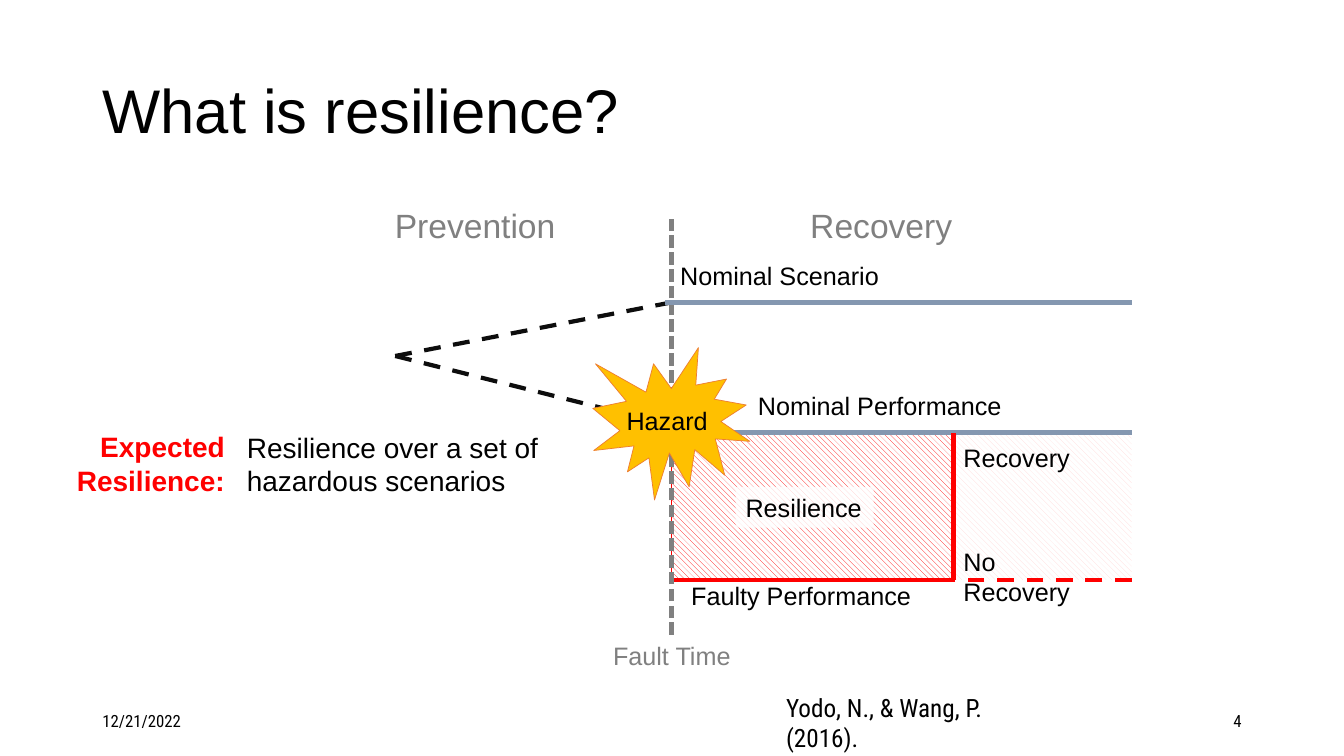
from dataclasses import dataclass

from lxml import etree
from pptx import Presentation
from pptx.dml.color import RGBColor
from pptx.enum.dml import MSO_LINE, MSO_PATTERN
from pptx.enum.shapes import MSO_CONNECTOR, MSO_SHAPE
from pptx.enum.text import MSO_ANCHOR, PP_ALIGN
from pptx.oxml.ns import qn
from pptx.util import Cm, Pt

STRAIGHT = MSO_CONNECTOR.STRAIGHT
RECTANGLE, BURST = MSO_SHAPE.RECTANGLE, MSO_SHAPE.EXPLOSION1
DASH, SHORT_DASH = MSO_LINE.DASH, MSO_LINE.SQUARE_DOT
HATCH = MSO_PATTERN.WIDE_DOWNWARD_DIAGONAL
TOP, MIDDLE = MSO_ANCHOR.TOP, MSO_ANCHOR.MIDDLE
LEFT, RIGHT = PP_ALIGN.LEFT, PP_ALIGN.RIGHT


@dataclass(frozen=True)
class Theme:
    font: str = "Arial"
    note_font: str = "Roboto Condensed"
    ink: str = "000000"
    scenario_ink: str = "0D0D0D"
    muted: str = "808080"
    paper: str = "FFFFFF"
    alert: str = "FF0000"
    alert_pale: str = "FFD9D9"
    nominal: str = "8497B0"
    frame: str = "4472C4"
    hazard: str = "FFC000"
    hazard_edge: str = "ED7D31"
    title_size: int = 44
    phase_size: int = 24
    lead_size: int = 20
    label_size: int = 18
    footer_size: int = 12
    heavy: float = 3
    thin: float = 1
    hairline: float = 0.5
    veil_alpha: int = 80000


class SlideBuilder:
    def __init__(self, slide, theme):
        self.slide = slide
        self.theme = theme

    def fill_text(self, frame, lines, align=LEFT, anchor=TOP, **font):
        look = {"name": self.theme.font, "size": self.theme.label_size,
                "color": self.theme.ink, "bold": False} | font
        color = RGBColor.from_string(look.pop("color"))
        look["size"] = Pt(look["size"])
        frame.word_wrap = True
        frame.vertical_anchor = anchor
        for index, line in enumerate(lines):
            paragraph = frame.add_paragraph() if index else frame.paragraphs[0]
            paragraph.alignment = align
            run = paragraph.add_run()
            run.text = line
            for attribute, value in look.items():
                setattr(run.font, attribute, value)
            run.font.color.rgb = color

    def title(self, text, box):
        heading = self.slide.shapes.title
        for side, value in zip(("left", "top", "width", "height"), box):
            setattr(heading, side, Cm(value))
        self.fill_text(heading.text_frame, [text], anchor=MIDDLE,
                       size=self.theme.title_size)
        heading.text_frame.paragraphs[0].line_spacing = 0.9

    def label(self, box, *lines, **look):
        area = self.slide.shapes.add_textbox(*map(Cm, box))
        self.fill_text(area.text_frame, lines, **look)

    def shape(self, kind, box, edge=None):
        item = self.slide.shapes.add_shape(kind, *map(Cm, box))
        item.shadow.inherit = False
        if edge:
            item.line.color.rgb = RGBColor.from_string(edge)
            item.line.width = Pt(self.theme.hairline)
        else:
            item.line.fill.background()
        return item

    def solid(self, kind, box, color, edge=None):
        item = self.shape(kind, box, edge)
        item.fill.solid()
        item.fill.fore_color.rgb = RGBColor.from_string(color)
        return item

    def hatched(self, box, color, edge=None):
        fill = self.shape(RECTANGLE, box, edge).fill
        fill.patterned()
        fill.pattern = HATCH
        fill.fore_color.rgb = RGBColor.from_string(color)
        fill.back_color.rgb = RGBColor.from_string(self.theme.paper)

    def veiled_label(self, box, *lines, **look):
        panel = self.solid(RECTANGLE, box, self.theme.paper)
        color = next(panel._element.spPr.iter(qn("a:srgbClr")))
        etree.SubElement(color, qn("a:alpha"), val=str(self.theme.veil_alpha))
        self.fill_text(panel.text_frame, lines, **look)

    def line(self, start, end, color, width=None, dash=None):
        stroke = self.slide.shapes.add_connector(STRAIGHT, *map(Cm, start + end))
        stroke.line.color.rgb = RGBColor.from_string(color)
        stroke.line.width = Pt(width or self.theme.heavy)
        if dash:
            stroke.line.dash_style = dash
        etree.SubElement(stroke._element.spPr, qn("a:effectLst"))


def main():
    deck = Presentation()
    deck.slide_width, deck.slide_height = Cm(33.87), Cm(19.05)
    theme = Theme()
    page = SlideBuilder(deck.slides.add_slide(deck.slide_layouts[5]), theme)

    fault_x, recovered_x, end_x = 16.92, 24.03, 28.52
    scenario_y, nominal_y, faulty_y = 7.62, 10.9, 14.61
    start_x, start_y = 9.96, 8.97
    loss = faulty_y - nominal_y
    row = 1.03

    page.title("What is resilience?", (2.33, 1.02, 29.21, 3.68))

    page.line((start_x, start_y), (fault_x, 10.72), theme.scenario_ink, dash=DASH)
    page.hatched((recovered_x, nominal_y, end_x - recovered_x, loss), theme.alert_pale)
    page.hatched((fault_x, nominal_y, recovered_x - fault_x, loss),
                 theme.alert, theme.frame)
    page.line((15.95, nominal_y), (end_x, nominal_y), theme.nominal)
    page.line((fault_x, nominal_y), (fault_x, faulty_y), theme.alert, theme.thin)
    page.line((fault_x, faulty_y), (recovered_x, faulty_y), theme.alert)
    page.line((recovered_x, faulty_y), (recovered_x, nominal_y), theme.alert)
    page.line((fault_x, 16), (fault_x, 5.46), theme.muted, dash=SHORT_DASH)
    page.label((15.2, 16, 3.7, row), "Fault Time", color=theme.muted)
    page.solid(BURST, (14.94, 8.76, 3.96, 3.84), theme.hazard, theme.hazard_edge)

    page.label((18.85, 9.7, 8.18, row), "Nominal Performance")
    page.label((17.17, 14.5, 6.3, row), "Faulty Performance")
    page.label((recovered_x, 11.02, 3.33, row), "Recovery")
    page.line((end_x, faulty_y), (recovered_x, faulty_y), theme.alert, dash=DASH)
    page.label((recovered_x, 13.64, 3.9, row), "No Recovery")

    for phase, left in (("Prevention", 9.7), ("Recovery", 20.17)):
        page.label((left, 5.03, 4.7, 1.27), phase,
                   size=theme.phase_size, color=theme.muted)
    page.label((19.56, 17.32, 6.17, row), "Yodo, N., & Wang, P. (2016).",
               name=theme.note_font)
    page.veiled_label((18.54, 12.27, 3.48, row), "Resilience")
    page.label((15.54, 10.08, 2.77, row), "Hazard")

    page.line((start_x, start_y), (fault_x, scenario_y), theme.scenario_ink, dash=DASH)
    page.line((16.76, scenario_y), (end_x, scenario_y), theme.nominal)
    page.label((16.89, 6.43, 8.18, row), "Nominal Scenario")

    page.veiled_label((1.6, 10.7, 4.32, 1.96), "Expected", "Resilience:", align=RIGHT,
                      size=theme.lead_size, color=theme.alert, bold=True)
    page.veiled_label((5.97, 10.72, 8.51, 1.96),
                      "Resilience over a set of hazardous scenarios",
                      size=theme.lead_size)

    for footer, left, align in (("12/21/2022", 2.33, LEFT), ("4", 23.92, RIGHT)):
        page.label((left, 17.66, 7.62, 1.01), footer, align=align, anchor=MIDDLE,
                   name=theme.note_font, size=theme.footer_size)

    deck.save("out.pptx")


if __name__ == "__main__":
    main()
